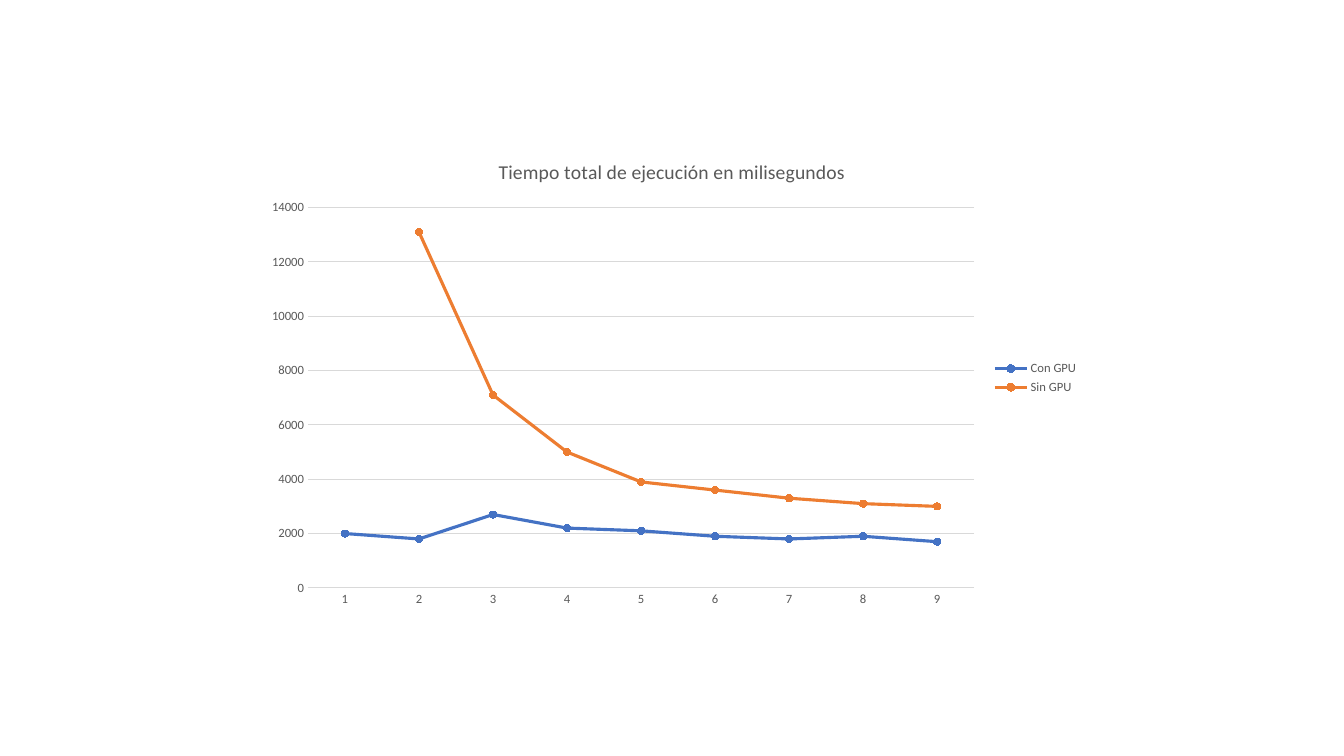
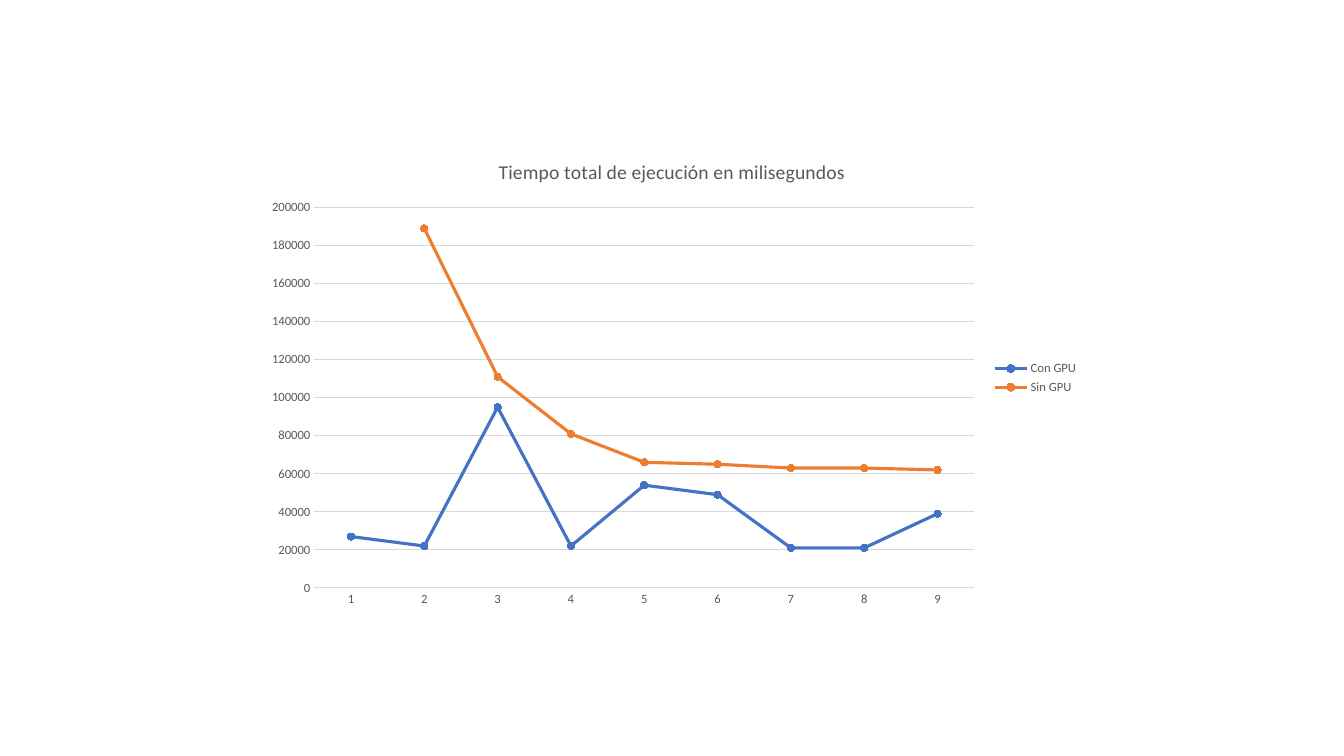
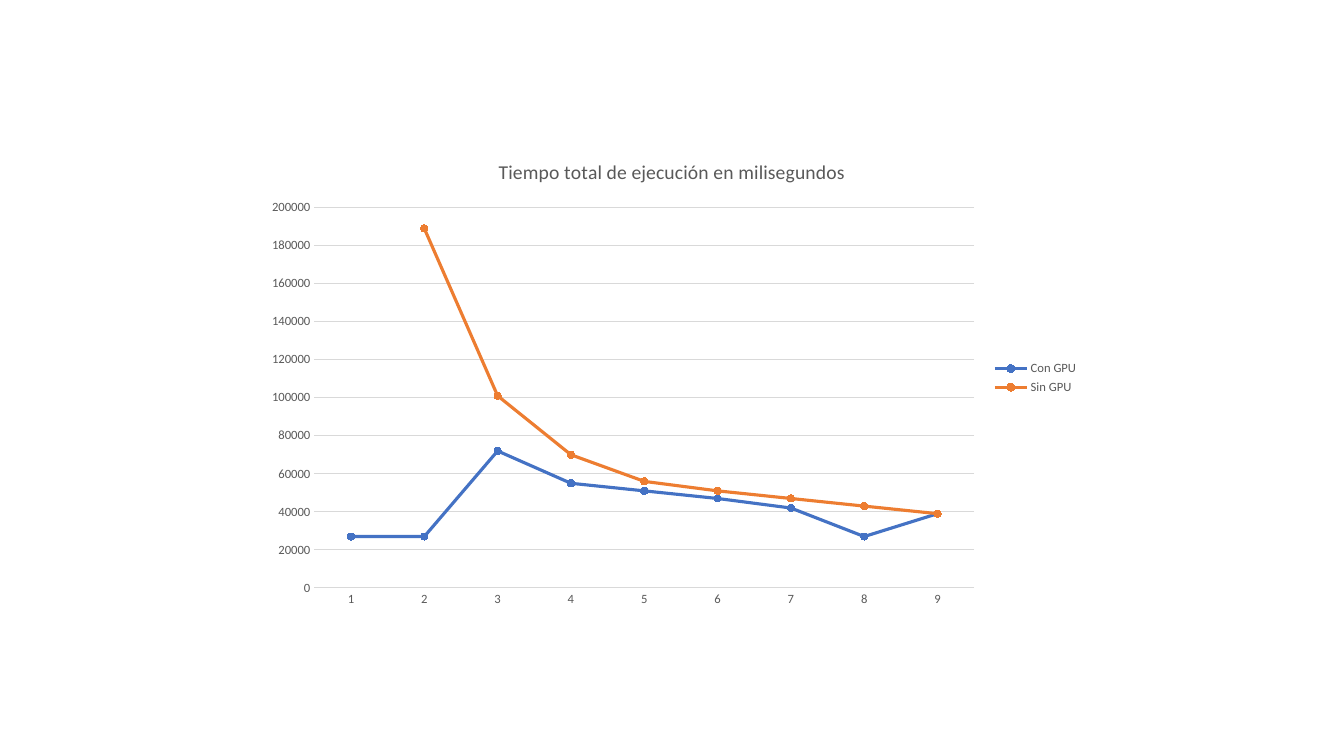
from pptx import Presentation
from pptx.chart.data import CategoryChartData as ChartData
from pptx.dml.color import RGBColor
from pptx.enum.chart import (XL_CHART_TYPE as ChartType, XL_LEGEND_POSITION as LegendSide,
                             XL_MARKER_STYLE as Marker, XL_TICK_MARK as Tick)
from pptx.util import Inches, Pt

# Shared style
COLORS = {"paper": "FFFFFF", "base": "000000", "label": "595959", "rule": "D9D9D9",
          "Con GPU": "4472C4", "Sin GPU": "ED7D31"}
FONT = "Calibri"
HEADING = "Tiempo total de ejecución en milisegundos"
RUNS = [str(number) for number in range(1, 10)]
CHART_BOX = (0.19, 0.185, 0.62, 0.63)  # shares of the slide: left, top, width, height

# Milliseconds per run, one entry per slide
TIMINGS = [
    {"Con GPU": [2000, 1800, 2700, 2200, 2100, 1900, 1800, 1900, 1700],
     "Sin GPU": [None, 13100, 7100, 5000, 3900, 3600, 3300, 3100, 3000]},
    {"Con GPU": [27000, 22000, 95000, 22000, 54000, 49000, 21000, 21000, 39000],
     "Sin GPU": [None, 189000, 111000, 81000, 66000, 65000, 63000, 63000, 62000]},
    {"Con GPU": [27000, 27000, 72000, 55000, 51000, 47000, 42000, 27000, 39000],
     "Sin GPU": [None, 189000, 101000, 70000, 56000, 51000, 47000, 43000, 39000]},
]


def rgb(name):
    return RGBColor.from_string(COLORS[name])


def style_font(font, size, color="label"):
    font.name, font.size, font.bold = FONT, Pt(size), False
    font.color.rgb = rgb(color)


def style_line(line, color, width):
    line.color.rgb = rgb(color)
    line.width = Pt(width)


def style_heading(chart):
    chart.has_title = True
    heading = chart.chart_title
    heading.include_in_layout = False
    run = heading.text_frame.paragraphs[0].add_run()
    run.text = HEADING
    style_font(run.font, 14)


def style_axes(chart):
    run_axis, time_axis = chart.category_axis, chart.value_axis
    for axis in (run_axis, time_axis):
        axis.major_tick_mark = axis.minor_tick_mark = Tick.NONE
        style_font(axis.tick_labels.font, 9)
    style_line(run_axis.format.line, "rule", 0.75)
    time_axis.format.line.fill.background()
    time_axis.has_major_gridlines = True
    style_line(time_axis.major_gridlines.format.line, "rule", 0.75)


def style_legend(chart):
    chart.has_legend = True
    chart.legend.position = LegendSide.RIGHT
    chart.legend.include_in_layout = False
    style_font(chart.legend.font, 9)


def style_series(chart):
    chart.plots[0].vary_by_categories = False
    for series in chart.plots[0].series:
        series.smooth = False
        style_line(series.format.line, series.name, 2.25)
        marker = series.marker
        marker.style, marker.size = Marker.CIRCLE, 5
        marker.format.fill.solid()
        marker.format.fill.fore_color.rgb = rgb(series.name)
        style_line(marker.format.line, series.name, 0.75)


def add_timing_chart(slide, box, timings):
    data = ChartData()
    data.categories = RUNS
    for name, values in timings.items():
        data.add_series(name, values)
    chart = slide.shapes.add_chart(ChartType.LINE_MARKERS, *box, data).chart
    style_font(chart.font, 10, "base")
    style_heading(chart)
    style_axes(chart)
    style_legend(chart)
    style_series(chart)


def add_timing_slide(deck, timings):
    slide = deck.slides.add_slide(deck.slide_layouts[6])
    extents = (deck.slide_width, deck.slide_height) * 2
    box = [int(share * extent) for share, extent in zip(CHART_BOX, extents)]
    add_timing_chart(slide, box, timings)


deck = Presentation()
deck.slide_width, deck.slide_height = Inches(13.33), Inches(7.5)
paper = deck.slide_master.background.fill
paper.solid()
paper.fore_color.rgb = rgb("paper")
for timings in TIMINGS:
    add_timing_slide(deck, timings)
deck.save("out.pptx")
